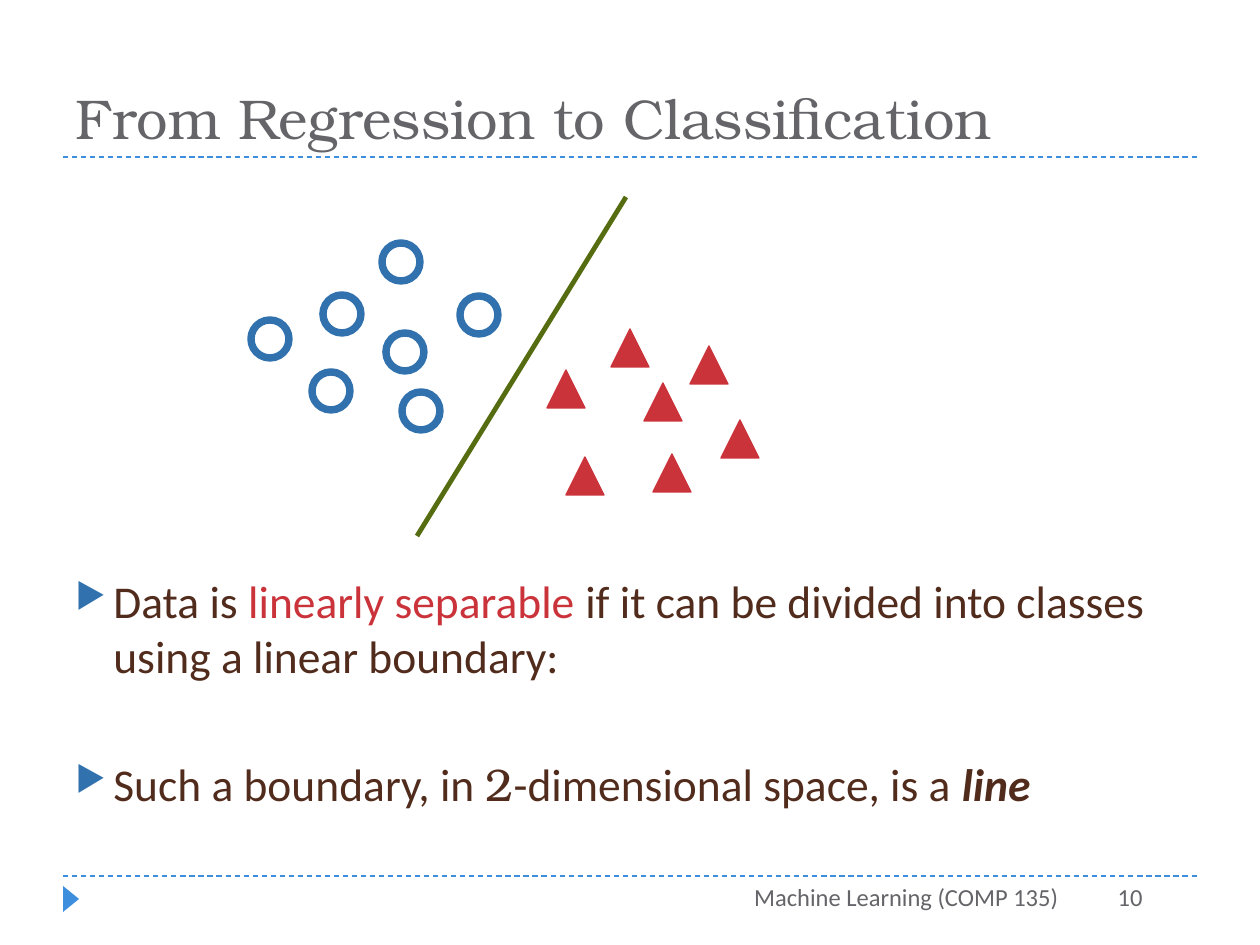
from lxml import etree
from pptx import Presentation
from pptx.dml.color import RGBColor
from pptx.enum.dml import MSO_LINE
from pptx.enum.shapes import MSO_CONNECTOR, MSO_SHAPE
from pptx.enum.text import MSO_ANCHOR, PP_ALIGN
from pptx.oxml.ns import qn
from pptx.util import Emu, Pt

STRAIGHT = MSO_CONNECTOR.STRAIGHT
CIRCLE, TRIANGLE = MSO_SHAPE.OVAL, MSO_SHAPE.ISOSCELES_TRIANGLE
DASH = MSO_LINE.DASH
TOP, BOTTOM = MSO_ANCHOR.TOP, MSO_ANCHOR.BOTTOM
LEFT, RIGHT = PP_ALIGN.LEFT, PP_ALIGN.RIGHT

SKY = RGBColor(0x3E, 0x8E, 0xDE)
BLUE = RGBColor(0x30, 0x71, 0xAE)
RED = RGBColor(0xCB, 0x33, 0x3B)
GREEN = RGBColor(0x56, 0x6C, 0x11)
GRAY = RGBColor(0x64, 0x64, 0x69)
BROWN = RGBColor(0x51, 0x2C, 0x1D)
SANS, SERIF = "Calibri", "TeX Gyre Bonum"
PX = 914400 / 126


def px(*lengths):
    """Turn pixel lengths into a list of EMU lengths."""
    return [Emu(round(length * PX)) for length in lengths]


def add_text(page, place, paragraphs, size, color, font=SANS, align=LEFT,
             anchor=TOP, bullet=None, gap=0):
    """Each paragraph is a list of (text, format) spans; gap is points between paragraphs."""
    frame = page.shapes.add_textbox(*px(*place)).text_frame
    frame.word_wrap = True
    frame.vertical_anchor = anchor
    for index, spans in enumerate(paragraphs):
        para = frame.paragraphs[0] if index == 0 else frame.add_paragraph()
        para.alignment = align
        if index:
            para.space_before = Pt(gap)
        if bullet:
            props = para._p.get_or_add_pPr()
            hang = px(38)[0]
            props.set("marL", str(hang))
            props.set("indent", str(-hang))
            tint = etree.SubElement(props, qn("a:buClr"))
            etree.SubElement(tint, qn("a:srgbClr"), val=str(BLUE))
            etree.SubElement(props, qn("a:buSzPct"), val="76000")
            etree.SubElement(props, qn("a:buChar"), char=bullet)
        for text, style in spans:
            span = para.add_run()
            span.text = text
            span.font.size = Pt(size)
            span.font.name = style.get("font", font)
            span.font.color.rgb = style.get("color", color)
            span.font.bold = span.font.italic = style.get("strong", False)


deck = Presentation()
deck.slide_width, deck.slide_height = px(1260, 945)
page = deck.slides.add_slide(deck.slide_layouts[6])

# Rules above and below the content, and the class boundary
boundary = (626, 197, 417, 536, GREEN, 2.75, None)
rules = [(63, y, 1197, y, SKY, 0.75, DASH) for y in (157, 876)]

# Data points: left and top of each marker
circles = [(382, 243), (312, 372), (251, 320), (386, 333), (402, 392),
           (323, 295), (460, 296)]
triangles = [(566, 457), (547, 370), (611, 329), (653, 454), (644, 383),
             (690, 346), (721, 420)]
for kind, points, fill, edge, width in (
        (CIRCLE, circles, None, BLUE, 4.25),
        (TRIANGLE, triangles, RED, RED, 0.75)):
    for left, top in points:
        marker = page.shapes.add_shape(kind, *px(left, top, 38, 38))
        marker.shadow.inherit = False
        if fill is None:
            marker.fill.background()
        else:
            marker.fill.solid()
            marker.fill.fore_color.rgb = fill
        marker.line.color.rgb = edge
        marker.line.width = Pt(width)

for x1, y1, x2, y2, color, width, dash in rules + [boundary]:
    line = page.shapes.add_connector(STRAIGHT, *px(x1, y1, x2, y2))
    line.line.color.rgb = color
    line.line.width = Pt(width)
    if dash:
        line.line.dash_style = dash
    etree.SubElement(line._element.spPr, qn("a:effectLst"))

footer_arrow = page.shapes.add_shape(TRIANGLE, *px(58, 891, 26, 16))
footer_arrow.rotation = 90
footer_arrow.shadow.inherit = False
footer_arrow.fill.solid()
footer_arrow.fill.fore_color.rgb = SKY
footer_arrow.line.fill.background()

add_text(page, (63, 21, 1134, 136), [[("From Regression to Classification", {})]],
         size=32, color=GRAY, font=SERIF, anchor=BOTTOM)
add_text(page, (63, 567, 1134, 252), [
    [("Data is ", {}),
     ("linearly separable ", {"color": RED}),
     ("if it can be divided into classes using a linear boundary:", {})],
    [("Such a boundary, in ", {}),
     ("2", {"font": SERIF}),
     ("-dimensional space, is a ", {}),
     ("line", {"strong": True})],
], size=26, color=BROWN, bullet="▶", gap=42)
add_text(page, (483, 876, 588, 50), [[("Machine Learning (COMP 135)", {})]],
         size=14, color=GRAY, align=RIGHT)
add_text(page, (1018, 876, 137, 50), [[("10", {})]],
         size=14, color=GRAY, align=RIGHT)

deck.save("out.pptx")
